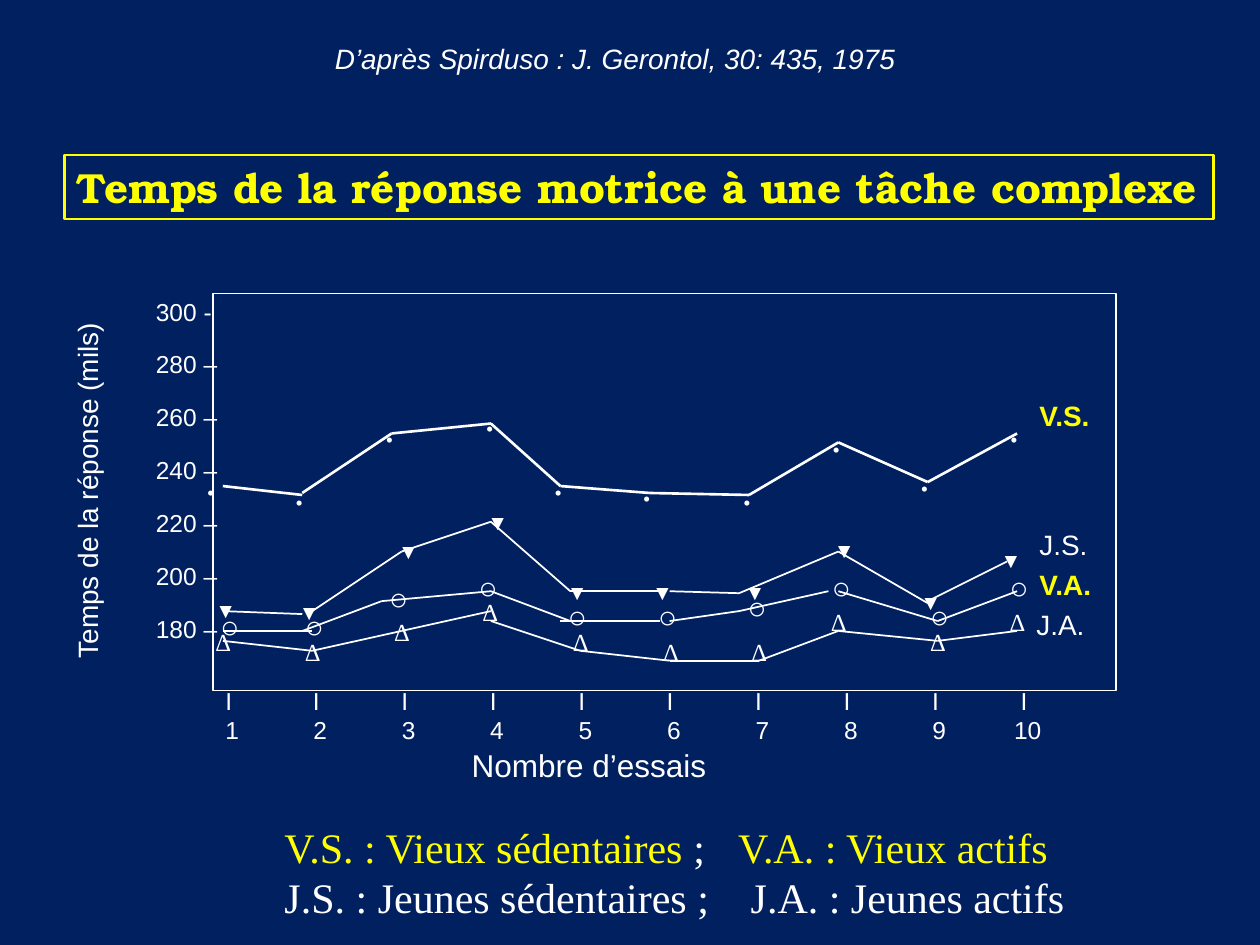
import dataclasses
import itertools

import pptx
import pptx.dml.color
import pptx.enum.shapes
import pptx.enum.text
import pptx.oxml.ns
import pptx.util
from lxml import etree


@dataclasses.dataclass(frozen=True)
class Style:
    size: int
    font: str = "Arial"
    color: str = "FFFFFF"
    bold: bool = False
    italic: bool = False


class Theme:
    background, light, accent = "002060", "FFFFFF", "FFFF00"
    thin, thick = 1, 1.5
    source = Style(16, italic=True)
    title = Style(24, "TeX Gyre Bonum", accent, bold=True)
    legend = Style(24, "Times New Roman")
    scale = Style(14)
    across_label, up_label = Style(18), Style(16)
    plain_name, active_name = Style(16), Style(16, color=accent, bold=True)
    dot = Style(16, "Comic Neue")
    triangle = Style(12, "Arial Narrow")
    circle = Style(18, "Arial Narrow", bold=True)
    delta = Style(14, "Times New Roman")


@dataclasses.dataclass(frozen=True)
class Box:
    """An area in inches, divided into a grid of columns and rows."""
    left: float
    top: float
    width: float
    height: float
    columns: int = 1
    rows: int = 1

    def point(self, column, row):
        return (pptx.util.Inches(self.left + column * self.width / self.columns),
                pptx.util.Inches(self.top + row * self.height / self.rows))

    def area(self, column, row, wide, high):
        left, top = self.point(column, row)
        right, bottom = self.point(column + wide, row + high)
        return left, top, right - left, bottom - top


@dataclasses.dataclass(frozen=True)
class Series:
    """A curve: its strokes and marks are (column, row) points of the plot grid."""
    name: str
    name_at: tuple
    name_style: Style
    mark: str
    mark_style: Style
    mark_size: tuple
    marks: list
    line_width: float
    strokes: list


SERIES = [
    Series("V.S.", (82, 10), Theme.active_name, "•", Theme.dot, (3.8, 4.7),
           [(-1.9, 17.4), (7, 18.4), (16.1, 12.1), (26.2, 11), (33.1, 17.4),
            (42, 18), (52.1, 18.4), (61.1, 13.1), (70, 17), (79, 12.1)],
           Theme.thick,
           [[(1, 19.4), (9, 20.3)],
            [(9, 20.1), (18, 14.1), (28, 13.1), (35, 19.4), (44, 20.1),
             (54, 20.3), (63, 15), (72, 19), (81, 14.1)]]),
    Series("J.S.", (82, 23), Theme.plain_name, "▼", Theme.triangle, (4.7, 3.8),
           [(-1, 30), (7.4, 30.2), (17.4, 24.1), (26.4, 21.1), (34.4, 28.2),
            (43, 28.2), (52.3, 28.2), (61.3, 24), (70, 29.2), (78.1, 25)],
           Theme.thin,
           [[(1, 32), (9, 32.3)],
            [(10, 32), (19, 26), (28, 23), (36, 30), (45, 30)],
            [(46, 30), (53, 30.2), (63, 26), (72, 31.2)],
            [(72, 31), (80, 27)]]),
    Series("V.A.", (82, 27), Theme.active_name, "○", Theme.circle, (4.4, 5.1),
           [(-0.5, 31), (8, 31), (16.5, 28.1), (25.5, 27), (34.5, 30),
            (43.6, 30), (52.6, 29.1), (61.1, 27), (71, 30), (79, 27)],
           Theme.thin,
           [[(1, 34), (10, 34)],
            [(9, 34), (17, 31), (28, 30), (36, 33)],
            [(35, 33), (45, 33)],
            [(46, 33), (53, 32), (62, 30)],
            [(63, 30), (73, 33), (81, 30)]]),
    Series("J.A.", (81.7, 31), Theme.plain_name, "Δ", Theme.delta, (4.1, 4.2),
           [(-1, 33), (8, 34), (17, 32), (25.9, 30), (35, 33),
            (44.1, 34), (53, 34), (61, 31), (71, 33), (79, 31)],
           Theme.thin,
           [[(1, 35), (10, 36), (19, 34), (28, 32)],
            [(28, 33), (37, 36), (46, 37), (55, 37), (63, 34), (73, 35), (81, 34)]]),
]


def rgb(color):
    return pptx.dml.color.RGBColor.from_string(color)


def format_span(span, style, color=None):
    font = span.font
    font.size, font.name = pptx.util.Pt(style.size), style.font
    font.bold, font.italic = style.bold, style.italic
    font.color.rgb = rgb(color or style.color)


def add_text(page, area, text, style, wrap=False):
    box = page.shapes.add_textbox(*area)
    write(box, text, style, wrap)
    return box


def write(box, text, style, wrap=False):
    frame = box.text_frame
    frame.text = text
    frame.word_wrap = wrap
    frame.auto_size = pptx.enum.text.MSO_AUTO_SIZE.SHAPE_TO_FIT_TEXT
    for para in frame.paragraphs:
        for span in para.runs:
            format_span(span, style)


def set_tabs(para, stops, alignment):
    tabs = etree.SubElement(para._p.get_or_add_pPr(), pptx.oxml.ns.qn("a:tabLst"))
    for stop in stops:
        etree.SubElement(tabs, pptx.oxml.ns.qn("a:tab"),
                         pos=str(pptx.util.Inches(stop)), algn=alignment)


def add_frame(page, area, color, width):
    frame = page.shapes.add_shape(pptx.enum.shapes.MSO_SHAPE.RECTANGLE, *area)
    frame.shadow.inherit = False
    frame.fill.background()
    frame.line.color.rgb = rgb(color)
    frame.line.width = pptx.util.Pt(width)
    return frame


def add_line(page, start, end, width):
    line = page.shapes.add_connector(
        pptx.enum.shapes.MSO_CONNECTOR.STRAIGHT, *start, *end)
    line.line.color.rgb = rgb(Theme.light)
    line.line.width = pptx.util.Pt(width)
    etree.SubElement(line._element.spPr, pptx.oxml.ns.qn("a:effectLst"))


def add_axes(page, plot):
    add_frame(page, plot.area(0, 0, plot.columns, plot.rows), Theme.light, Theme.thin)
    levels = ["300 -"] + [f"{level} –" for level in range(280, 179, -20)]
    scale = add_text(page, plot.area(-7, -2.7, 9.5, 44.3), "\n".join(levels), Theme.scale)
    for para in scale.text_frame.paragraphs:
        para.line_spacing = 1.8

    ticks = "\t".join("I" * 10)
    trials = "\t".join(str(trial) for trial in range(1, 11))
    scale = add_text(page, plot.area(0, 38.9, 85.3, 7.2), f"{ticks}\n{trials}",
                     Theme.scale, wrap=True)
    for para, first in zip(scale.text_frame.paragraphs, (0.02, 0.05)):
        set_tabs(para, [first + 0.702 * step for step in range(1, 10)], "ctr")

    label = add_text(page, plot.area(-31, 17.3, 36.7, 4.7),
                     "Temps de la réponse (mils)", Theme.up_label)
    label.rotation = 270
    add_text(page, plot.area(24.8, 45, 26.2, 5.1), "Nombre d’essais", Theme.across_label)


def add_series(page, plot, series):
    for mark in series.marks:
        add_text(page, plot.area(*mark, *series.mark_size), series.mark, series.mark_style)
    for stroke in series.strokes:
        for start, end in itertools.pairwise(stroke):
            add_line(page, plot.point(*start), plot.point(*end), series.line_width)
    add_text(page, plot.area(*series.name_at, 9.7, 4.7), series.name,
             series.name_style, wrap=True)


def add_title(page, area):
    title = add_frame(page, area, Theme.accent, Theme.thick)
    write(title, "Temps de la réponse motrice à une tâche complexe", Theme.title)
    title.text_frame.vertical_anchor = pptx.enum.text.MSO_ANCHOR.TOP
    title.text_frame.paragraphs[0].alignment = pptx.enum.text.PP_ALIGN.LEFT


def add_legend(page, area):
    frame = add_text(page, area, "", Theme.legend, wrap=True).text_frame
    lines = [
        (3.6, [("V.S. : Vieux sédentaires ", Theme.accent), (";\t", Theme.light),
               ("V.A. : Vieux actifs", Theme.accent)]),
        (3.7, [("J.S. : Jeunes sédentaires ;\tJ.A. : Jeunes actifs", Theme.light)]),
    ]
    for number, (stop, parts) in enumerate(lines):
        para = frame.add_paragraph() if number else frame.paragraphs[0]
        set_tabs(para, [stop], "l")
        for text, color in parts:
            span = para.add_run()
            span.text = text
            format_span(span, Theme.legend, color)


def main():
    deck = pptx.Presentation()
    deck.slide_width, deck.slide_height = pptx.util.Inches(10), pptx.util.Inches(7.5)
    page = deck.slides.add_slide(deck.slide_layouts[6])
    page.background.fill.solid()
    page.background.fill.fore_color.rgb = rgb(Theme.background)

    sheet = Box(0, 0, 10, 7.5, columns=100, rows=75)
    plot = Box(1.69, 2.33, 7.17, 3.15, columns=91, rows=40)
    add_axes(page, plot)
    for series in SERIES:
        add_series(page, plot, series)
    add_title(page, sheet.area(5.1, 12.3, 91.2, 5.1))
    add_legend(page, sheet.area(21.6, 64.7, 65.4, 9.1))
    add_text(page, sheet.area(25.6, 2.8, 46.6, 3.7),
             "D’après Spirduso : J. Gerontol, 30: 435, 1975", Theme.source)
    deck.save("out.pptx")


if __name__ == "__main__":
    main()
